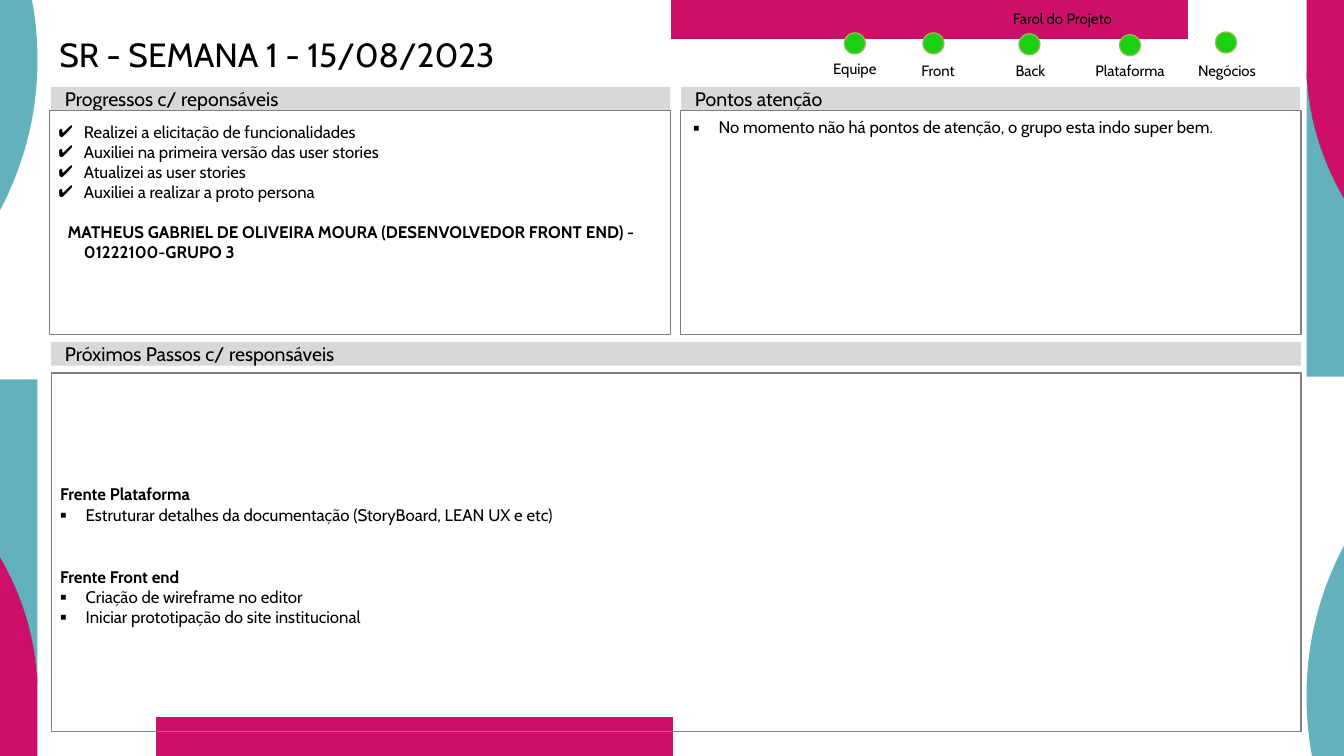
from dataclasses import dataclass

from lxml.etree import SubElement
from pptx import Presentation
from pptx.dml.color import RGBColor
from pptx.enum.shapes import MSO_SHAPE as Shape
from pptx.enum.text import MSO_ANCHOR as Anchor, MSO_AUTO_SIZE as AutoSize, PP_ALIGN as Align
from pptx.oxml.ns import qn
from pptx.util import Inches, Pt

WIDTH, HEIGHT = 14.7, 8.27


@dataclass(frozen=True)
class Theme:
    font: str = "Cabin"
    ink: str = "000000"
    teal: str = "63B1BC"
    pink: str = "CE0F69"
    navy: str = "1F2A44"
    band: str = "D8D8D8"
    border: str = "7F7F7F"
    light: str = "1BCF13"
    light_border: str = "9BBB59"
    title: float = 26.4
    heading: float = 15.4
    body: float = 13.2
    label: float = 11.8


THEME = Theme()
TITLE = "SR - SEMANA 1 - 15/08/2023"
LIGHTS_TITLE = "Farol do Projeto"
LIGHTS = [
    ("Equipe", 9.35, 0.36, 9.35, 0.65),
    ("Front", 10.21, 0.36, 10.26, 0.67),
    ("Back", 11.26, 0.37, 11.27, 0.67),
    ("Plataforma", 12.36, 0.38, 12.36, 0.67),
    ("Negócios", 13.41, 0.35, 13.42, 0.67),
]
LIGHT_SIZE = 0.23
LABEL_WIDTH, LABEL_HEIGHT = 0.98, 0.2

CHECK, SQUARE = "✔", "▪"
MARGIN, COLUMN, GUTTER, BAND = 0.56, 6.77, 0.12, 0.26
TOP_ROW, BOTTOM_ROW = 0.95, 3.74
SECOND = MARGIN + COLUMN + GUTTER
FULL = 2 * COLUMN + GUTTER + 0.01
HANGING = (0.28, -0.28)

SECTIONS = [
    {
        "heading": "Progressos c/ reponsáveis",
        "band": (MARGIN, TOP_ROW, COLUMN, BAND),
        "panel": (MARGIN - 0.02, TOP_ROW + BAND, COLUMN + 0.02, 2.45),
        "insets": (0.1, 0.12, 0.1, 0.05),
        "anchor": Anchor.TOP,
        "lines": [
            {"text": "Realizei a elicitação de funcionalidades", "bullet": CHECK},
            {"text": "Auxiliei na primeira versão das user stories", "bullet": CHECK},
            {"text": "Atualizei as user stories", "bullet": CHECK},
            {"text": "Auxiliei a realizar a proto persona", "bullet": CHECK},
            {"text": "MATHEUS GABRIEL DE OLIVEIRA MOURA (DESENVOLVEDOR FRONT END) - 01222100-GRUPO 3",
             "bold": True, "indent": (0.28, -0.18), "before": 15.5},
        ],
    },
    {
        "heading": "Pontos atenção",
        "band": (SECOND, TOP_ROW, COLUMN, BAND),
        "panel": (SECOND - 0.01, TOP_ROW + BAND, COLUMN + 0.02, 2.45),
        "insets": (0.14, 0.07, 0.1, 0.05),
        "anchor": Anchor.TOP,
        "lines": [
            {"text": "No momento não há pontos de atenção, o grupo esta indo super bem.",
             "bullet": SQUARE},
        ],
    },
    {
        "heading": "Próximos Passos c/ responsáveis",
        "band": (MARGIN, BOTTOM_ROW, FULL, BAND),
        "panel": (MARGIN, BOTTOM_ROW + 0.34, FULL, 3.92),
        "insets": (0.1, 0.12, 0.1, 0.05),
        "anchor": Anchor.MIDDLE,
        "lines": [
            {"text": "Frente Plataforma", "bold": True},
            {"text": "Estruturar detalhes da documentação (StoryBoard, LEAN UX e etc)",
             "bullet": SQUARE},
            {"text": "Frente Front end", "bold": True, "before": 33},
            {"text": "Criação de wireframe no editor", "bullet": SQUARE},
            {"text": "Iniciar prototipação do site institucional", "bullet": SQUARE},
        ],
    },
]

ORNAMENTS = [
    (THEME.teal, [(0.35, 0), (0, 0), (0, 2.3),
                  (0.26, 1.81, 0.41, 1.25, 0.41, 0.66), (0.41, 0.43, 0.39, 0.21, 0.35, 0)]),
    (THEME.pink, [(7.34, 0), (12.99, 0), (12.99, 0.43), (7.34, 0.43)]),
    (THEME.teal, [(14.29, 0.78), (14.29, 4.12), (14.7, 4.12), (14.7, 2.17),
                  (14.46, 1.76, 14.31, 1.29, 14.29, 0.78)]),
    (THEME.pink, [(14.7, 2.17), (14.7, 0), (14.29, 0), (14.29, 0.64),
                  (14.29, 0.69, 14.29, 0.74, 14.29, 0.78),
                  (14.31, 1.28, 14.46, 1.76, 14.7, 2.17)]),
    (THEME.navy, [(14.7, 2.17), (14.46, 1.76, 14.31, 1.28, 14.29, 0.78), (14.29, 0.79),
                  (14.31, 1.29, 14.46, 1.76, 14.7, 2.17)]),
]


def apply(target, **values):
    for name, value in values.items():
        setattr(target, name, value)


def paint(shape, fill=None, line=None):
    shape.shadow.inherit = False
    if fill:
        shape.fill.solid()
        shape.fill.fore_color.rgb = RGBColor.from_string(fill)
    else:
        shape.fill.background()
    if line:
        shape.line.color.rgb = RGBColor.from_string(line)
        shape.line.width = Pt(1)
    else:
        shape.line.fill.background()


def write(shape, lines, size, insets, anchor, alignment=Align.LEFT, spacing=None):
    frame = shape.text_frame
    sides = ("margin_left", "margin_top", "margin_right", "margin_bottom")
    apply(frame, word_wrap=True, auto_size=AutoSize.NONE, vertical_anchor=anchor,
          **{side: Inches(inset) for side, inset in zip(sides, insets)})
    for index, line in enumerate(lines):
        paragraph = frame.add_paragraph() if index else frame.paragraphs[0]
        apply(paragraph, alignment=alignment, line_spacing=spacing,
              space_before=Pt(line.get("before", 0)))
        run = paragraph.add_run()
        run.text = line["text"]
        apply(run.font, name=THEME.font, size=Pt(size), bold=line.get("bold", False))
        run.font.color.rgb = RGBColor.from_string(THEME.ink)
        bullet = line.get("bullet")
        indent = line.get("indent", HANGING if bullet else None)
        properties = paragraph._p.get_or_add_pPr()
        if indent:
            for name, length in zip(("marL", "indent"), indent):
                properties.set(name, str(Inches(length)))
        if bullet:
            color = SubElement(properties, qn("a:buClr"))
            SubElement(color, qn("a:srgbClr"), val=THEME.ink)
            SubElement(properties, qn("a:buFont"), typeface=THEME.font)
            SubElement(properties, qn("a:buChar"), char=bullet)


def add_box(slide, kind, box, fill=None, line=None):
    shape = slide.shapes.add_shape(kind, *map(Inches, box))
    paint(shape, fill, line)
    return shape


def bend(shape, segments):
    lines = iter(list(shape._element.iter(qn("a:lnTo"))))
    for segment in segments[1:]:
        line = next(lines)
        if len(segment) == 6:
            line.tag = qn("a:cubicBezTo")
            for _ in range(2):
                control = next(lines)
                line.append(control[0])
                control.getparent().remove(control)


def add_curves(outline, segments):
    curves = outline.getparent()
    for segment in segments:
        curves.append(segment)


def add_ornaments(slide):
    for turned in (False, True):
        for color, segments in ORNAMENTS:
            pairs = [pair for segment in segments for pair in zip(segment[::2], segment[1::2])]
            corners = [(Inches(WIDTH - x), Inches(HEIGHT - y)) if turned
                       else (Inches(x), Inches(y)) for x, y in pairs]
            builder = slide.shapes.build_freeform(*corners[0])
            builder.add_line_segments(corners[1:], close=True)
            shape = builder.convert_to_shape()
            replace_lines(shape, segments)
            paint(shape, color)


def replace_lines(shape, segments):
    outline = next(shape._element.iter(qn("a:moveTo"))).getparent()
    lines = list(outline.iter(qn("a:lnTo")))
    for segment in segments[1:]:
        count = len(segment) // 2
        group, lines = lines[:count], lines[count:]
        if count == 3:
            curve = SubElement(outline, qn("a:cubicBezTo"))
            group[0].addprevious(curve)
            for line in group:
                curve.append(line[0])
                outline.remove(line)


def add_section(slide, section):
    band = add_box(slide, Shape.RECTANGLE, section["band"], THEME.band)
    write(band, [{"text": section["heading"]}], THEME.heading,
          (0.15, 0.07, 0.15, 0.07), Anchor.MIDDLE)
    panel = add_box(slide, Shape.RECTANGLE, section["panel"], line=THEME.border)
    write(panel, section["lines"], THEME.body, section["insets"], section["anchor"])


def add_lights(slide):
    label_format = (THEME.label, (0.06, 0.06, 0.06, 0), Anchor.BOTTOM, Align.CENTER)
    header = add_box(slide, Shape.RECTANGLE, (10.81, 0.07, 1.62, 0.23), THEME.pink)
    write(header, [{"text": LIGHTS_TITLE}], *label_format)
    for name, center, top, label_center, label_top in LIGHTS:
        add_box(slide, Shape.OVAL, (center - LIGHT_SIZE / 2, top, LIGHT_SIZE, LIGHT_SIZE),
                THEME.light, THEME.light_border)
        label_box = (label_center - LABEL_WIDTH / 2, label_top, LABEL_WIDTH, LABEL_HEIGHT)
        label = slide.shapes.add_textbox(*map(Inches, label_box))
        write(label, [{"text": name}], *label_format)


def main():
    presentation = Presentation()
    apply(presentation, slide_width=Inches(WIDTH), slide_height=Inches(HEIGHT))
    slide = presentation.slides.add_slide(presentation.slide_layouts.get_by_name("Title Only"))
    title = slide.shapes.title
    apply(title, left=Inches(0.53), top=Inches(0.42), width=Inches(13.23), height=Inches(0.88))
    write(title, [{"text": TITLE}], THEME.title, (0.12, 0, 0.12, 0), Anchor.TOP, spacing=0.9)
    add_ornaments(slide)
    for section in SECTIONS:
        add_section(slide, section)
    add_lights(slide)
    presentation.save("out.pptx")


if __name__ == "__main__":
    main()
